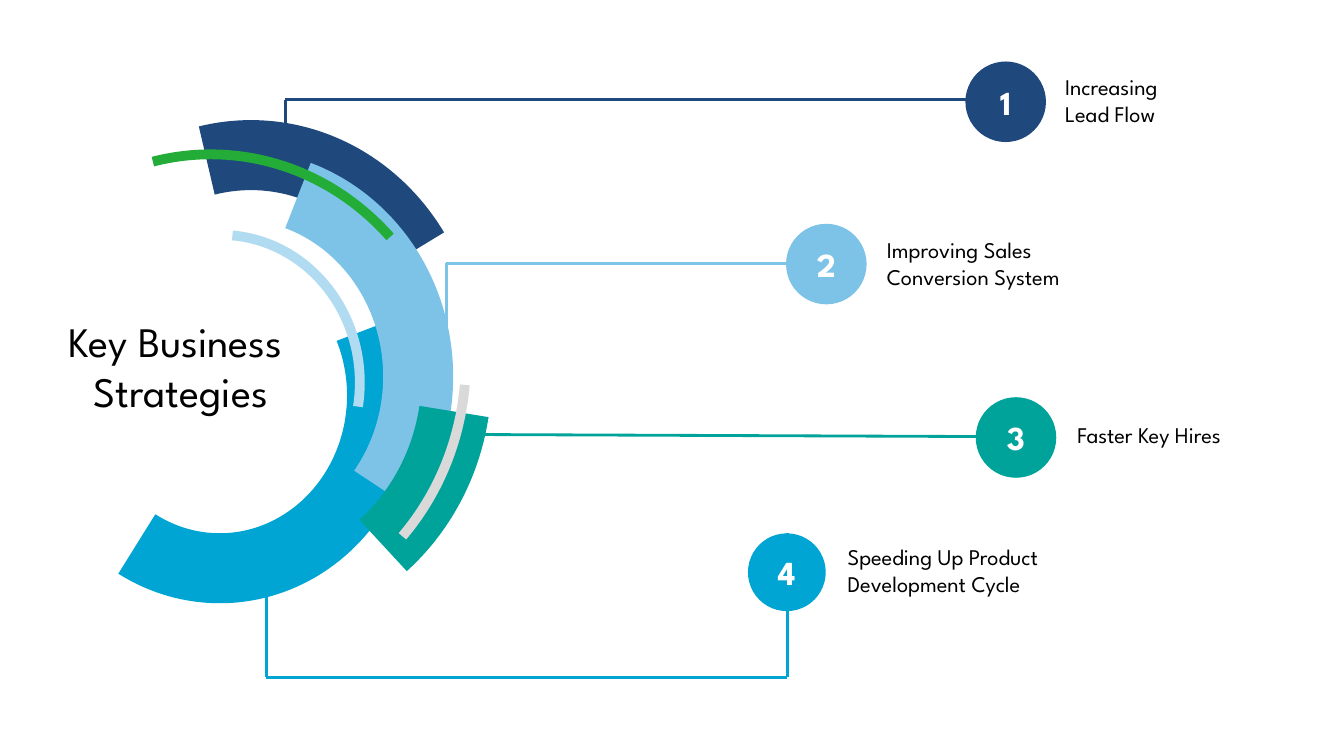
from itertools import pairwise

from lxml.etree import SubElement
from pptx import Presentation
from pptx.dml.color import RGBColor
from pptx.enum.shapes import MSO_CONNECTOR as Link, MSO_SHAPE as Shape
from pptx.enum.text import MSO_ANCHOR as Anchor, MSO_AUTO_SIZE as Fit, PP_ALIGN as Align
from pptx.oxml.ns import qn
from pptx.util import Cm, Pt

NAVY = RGBColor(0x1F, 0x49, 0x7D)
SKY = RGBColor(0x7D, 0xC3, 0xE7)
TEAL = RGBColor(0x00, 0xA3, 0x9A)
BLUE = RGBColor(0x00, 0xA5, 0xD3)
GREEN = RGBColor(0x23, 0xAC, 0x38)
GREY = RGBColor(0xD9, 0xD9, 0xD9)
PALE = RGBColor(0xB1, 0xDB, 0xF1)
BLACK = RGBColor(0, 0, 0)
WHITE = RGBColor(255, 255, 255)


class Board:
    """Holds the text style and the current slide."""
    font = "League Spartan"

    def __init__(self, slide):
        self.slide = slide
        self.shapes = slide.shapes

    def put_run(self, para, text, size, color=BLACK, bold=False):
        run = para.add_run()
        run.text = text
        run.font.name = self.font
        run.font.size = Pt(size)
        run.font.bold = bold
        run.font.color.rgb = color

    def title(self, lines, box):
        head = self.shapes.title
        head.left, head.top, head.width, head.height = map(Cm, box)
        frame = head.text_frame
        frame.word_wrap = True
        frame.auto_size = Fit.SHAPE_TO_FIT_TEXT
        frame.vertical_anchor = Anchor.TOP
        for i, line in enumerate(lines):
            para = frame.add_paragraph() if i else frame.paragraphs[0]
            para.alignment = Align.CENTER
            self.put_run(para, line, 30)

    def arc(self, box, start, end, color, width):
        """Stroke an arc clockwise between two angles in degrees."""
        arc = self.shapes.add_shape(Shape.ARC, *map(Cm, box))
        arc.shadow.inherit = False
        arc.fill.background()
        arc.line.color.rgb = color
        arc.line.width = Pt(width)
        # One adjustment unit is 100000 / 60000 of a degree
        arc.adjustments[0] = start * 0.6
        arc.adjustments[1] = end * 0.6

    def route(self, points, color):
        for a, b in pairwise(points):
            line = self.shapes.add_connector(Link.STRAIGHT, *map(Cm, a + b))
            line.line.color.rgb = color
            line.line.width = Pt(2)
            SubElement(line._element.spPr, qn("a:effectLst"))

    def badge(self, text, left, top, size, color):
        disc = self.shapes.add_shape(Shape.OVAL, *map(Cm, (left, top, size, size)))
        disc.shadow.inherit = False
        disc.fill.solid()
        disc.fill.fore_color.rgb = color
        disc.line.fill.background()
        disc.text_frame.vertical_anchor = Anchor.MIDDLE
        para = disc.text_frame.paragraphs[0]
        para.alignment = Align.CENTER
        self.put_run(para, text, 24, WHITE, True)

    def label(self, text, box):
        frame = self.shapes.add_textbox(*map(Cm, box)).text_frame
        frame.word_wrap = True
        frame.auto_size = Fit.SHAPE_TO_FIT_TEXT
        self.put_run(frame.paragraphs[0], text, 16)


# Box, start and end angle, colour, stroke width; back to front
ARCS = [
    ((1.45, 5.61, 8.18, 8.71), 335.87, 119.17, BLUE, 50),
    ((1.45, 3.91, 9.75, 10.39), 257.6, 325.86, NAVY, 50),
    ((1.45, 4.65, 9.09, 9.68), 288.39, 37.94, SKY, 50),
    ((1.02, 3.89, 10.49, 11.18), 9.76, 51.53, TEAL, 50),
    ((-0.89, 3.89, 12.4, 13.18), 257.19, 315.09, GREEN, 7),
    ((-0.66, 2.51, 12.4, 13.18), 5.55, 43.81, GREY, 7),
    ((2.06, 5.92, 7.01, 7.44), 274.55, 9.94, PALE, 7),
]

# Text, text box, badge (left, top, size), colour, route from arc to badge
STEPS = [
    ("Increasing Lead Flow", (26.59, 1.73, 3.86, 1.63), (24.33, 1.55, 2.03),
     NAVY, [(7.19, 3.63), (7.19, 2.51), (24.51, 2.51)]),
    ("Improving Sales Conversion System", (22.1, 5.82, 6.5, 1.63), (19.81, 5.64, 2.03),
     SKY, [(11.25, 8.36), (11.25, 6.63), (20.09, 6.63)]),
    ("Faster Key Hires", (26.9, 10.49, 5.41, 0.94), (24.59, 10.01, 2.03),
     TEAL, [(11.94, 10.95), (24.61, 11)]),
    ("Speeding Up Product Development Cycle", (21.11, 13.56, 7.92, 1.63), (18.85, 13.44, 1.96),
     BLUE, [(6.71, 14.35), (6.71, 17.07), (19.84, 17.07), (19.84, 13.44)]),
]


def main():
    deck = Presentation()
    deck.slide_width, deck.slide_height = Cm(33.87), Cm(19.05)
    board = Board(deck.slides.add_slide(deck.slide_layouts[5]))

    # Rings
    for arc in ARCS:
        board.arc(*arc)

    # Heading beside the rings
    board.title(["Key Business ", "Strategies"], (0.33, 7.82, 8.46, 2.82))

    # Numbered strategies
    for num, (text, box, disc, color, points) in enumerate(STEPS, 1):
        board.route(points, color)
        board.badge(str(num), *disc, color)
        board.label(text, box)

    deck.save("out.pptx")


if __name__ == "__main__":
    main()
